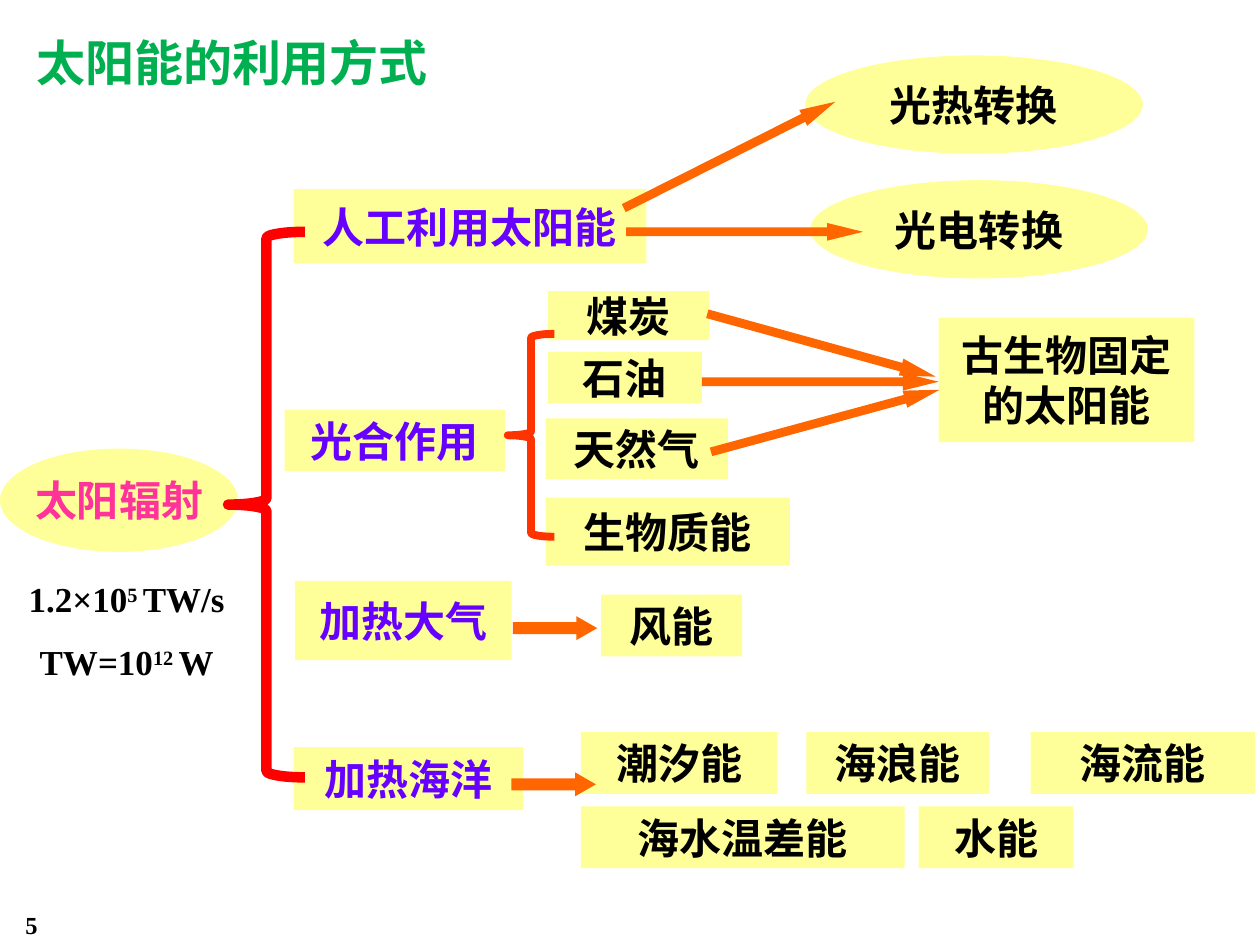
import dataclasses

import pptx
import pptx.dml.color
import pptx.enum.shapes
import pptx.enum.text
import pptx.util

Inches = pptx.util.Inches
SHAPES = pptx.enum.shapes.MSO_SHAPE
ALIGN = pptx.enum.text.PP_ALIGN
ANCHOR = pptx.enum.text.MSO_ANCHOR
AUTO_SIZE = pptx.enum.text.MSO_AUTO_SIZE


@dataclasses.dataclass(frozen=True)
class Theme:
    panel: str = "FFFF99"
    text: str = "000000"
    pathway: str = "6600FF"
    source: str = "FF3399"
    title: str = "00B050"
    arrow: str = "FF6600"
    main_brace: str = "FF0000"
    sub_brace: str = "FF3300"
    label_font: str = "Arial"
    title_font: str = "Noto Sans CJK JP"
    number_font: str = "Times New Roman"
    title_size: int = 28
    label_size: int = 24
    formula_size: int = 20
    page_size: int = 14


def rgb(value):
    return pptx.dml.color.RGBColor.from_string(value)


def write(frame, text, *, font, size, color, bold=True, align=ALIGN.CENTER,
          line_spacing=None):
    """Fill a frame: newlines split paragraphs, ^ marks toggle superscript."""
    for row, line in enumerate(text.split("\n")):
        para = frame.add_paragraph() if row else frame.paragraphs[0]
        para.alignment = align
        if line_spacing:
            para.line_spacing = line_spacing
        for index, part in enumerate(line.split("^")):
            span = para.add_run()
            span.text = part
            span.font.name = font
            span.font.size = pptx.util.Pt(size)
            span.font.bold = bold
            span.font.color.rgb = rgb(color)
            if index % 2:
                span.font._element.set("baseline", "30000")


class Diagram:
    def __init__(self, page, theme):
        self.page = page
        self.theme = theme

    def shape(self, kind, at, fill=None):
        shape = self.page.shapes.add_shape(kind, *map(Inches, at))
        shape.shadow.inherit = False
        shape.line.fill.background()
        if fill:
            shape.fill.solid()
            shape.fill.fore_color.rgb = rgb(fill)
        else:
            shape.fill.background()
        return shape

    def label(self, text, at, color=None, kind=SHAPES.RECTANGLE):
        frame = self.shape(kind, at, self.theme.panel).text_frame
        frame.word_wrap = False
        frame.vertical_anchor = ANCHOR.MIDDLE
        write(frame, text, font=self.theme.label_font,
              size=self.theme.label_size, color=color or self.theme.text)

    def arrow(self, at, head, rotation=0):
        arrow = self.shape(SHAPES.RIGHT_ARROW, at, self.theme.arrow)
        arrow.adjustments[0] = 0.5
        arrow.adjustments[1] = head
        arrow.rotation = rotation

    def brace(self, at, color, weight):
        brace = self.shape(SHAPES.LEFT_BRACE, at)
        brace.line.color.rgb = rgb(color)
        brace.line.width = pptx.util.Pt(weight)

    def text(self, text, at, grow=True, **style):
        box = self.page.shapes.add_textbox(*map(Inches, at))
        box.text_frame.word_wrap = not grow
        if grow:
            box.text_frame.auto_size = AUTO_SIZE.SHAPE_TO_FIT_TEXT
        write(box.text_frame, text, **style)


def main():
    theme = Theme()
    deck = pptx.Presentation()
    deck.slide_width, deck.slide_height = Inches(10), Inches(7.5)
    diagram = Diagram(deck.slides.add_slide(deck.slide_layouts[6]), theme)

    diagram.text("5", (0, 7.17, 0.5, 0.25), grow=False,
                 font=theme.number_font, size=theme.page_size,
                 color=theme.text)
    diagram.text("太阳能的利用方式", (0.19, 0.21, 3.4, 0.57),
                 font=theme.title_font, size=theme.title_size,
                 color=theme.title, align=ALIGN.LEFT)

    pathways = [
        ("人工利用太阳能", (2.33, 1.5, 2.8, 0.59)),
        ("光合作用", (2.26, 3.25, 1.75, 0.49)),
        ("加热大气", (2.34, 4.61, 1.72, 0.63)),
        ("加热海洋", (2.33, 5.93, 1.82, 0.5)),
    ]
    for name, at in pathways:
        diagram.label(name, at, theme.pathway)

    energy_forms = [
        ("煤炭", (4.35, 2.31, 1.28, 0.39)),
        ("石油", (4.35, 2.79, 1.22, 0.41)),
        ("天然气", (4.33, 3.32, 1.45, 0.48)),
        ("生物质能", (4.33, 3.95, 1.94, 0.54)),
        ("古生物固定\n的太阳能", (7.45, 2.52, 2.03, 0.99)),
        ("风能", (4.77, 4.72, 1.12, 0.49)),
        ("潮汐能", (4.61, 5.81, 1.56, 0.49)),
        ("海浪能", (6.4, 5.81, 1.45, 0.49)),
        ("海流能", (8.18, 5.81, 1.78, 0.49)),
        ("海水温差能", (4.61, 6.4, 2.57, 0.49)),
        ("水能", (7.29, 6.4, 1.23, 0.49)),
    ]
    for name, at in energy_forms:
        diagram.label(name, at)

    diagram.label("光热转换", (6.39, 0.44, 2.68, 0.78), kind=SHAPES.OVAL)
    diagram.label("光电转换", (6.43, 1.43, 2.68, 0.78), kind=SHAPES.OVAL)
    diagram.label("太阳辐射", (0, 3.56, 1.89, 0.82), theme.source, SHAPES.OVAL)

    long_arrows = [
        (4.85, 1.16, 333.3),
        (4.97, 1.77, 0),
        (5.58, 2.67, 15.4),
        (5.57, 2.96, 0),
        (5.61, 3.27, 344.8),
    ]
    for left, top, rotation in long_arrows:
        diagram.arrow((left, top, 1.88, 0.14), 2.03, rotation)
    for left, top in [(4.07, 4.89), (4.06, 6.13)]:
        diagram.arrow((left, top, 0.67, 0.19), 0.87)

    diagram.brace((1.81, 1.84, 0.61, 4.33), theme.main_brace, 6)
    diagram.brace((4.03, 2.65, 0.37, 1.61), theme.sub_brace, 4.5)

    diagram.text("1.2×10^5 ^TW/s\nTW=10^12 ^W", (0.04, 4.37, 1.93, 1.05),
                 font=theme.number_font, size=theme.formula_size,
                 color=theme.text, line_spacing=1.5)

    deck.save("out.pptx")


if __name__ == "__main__":
    main()
